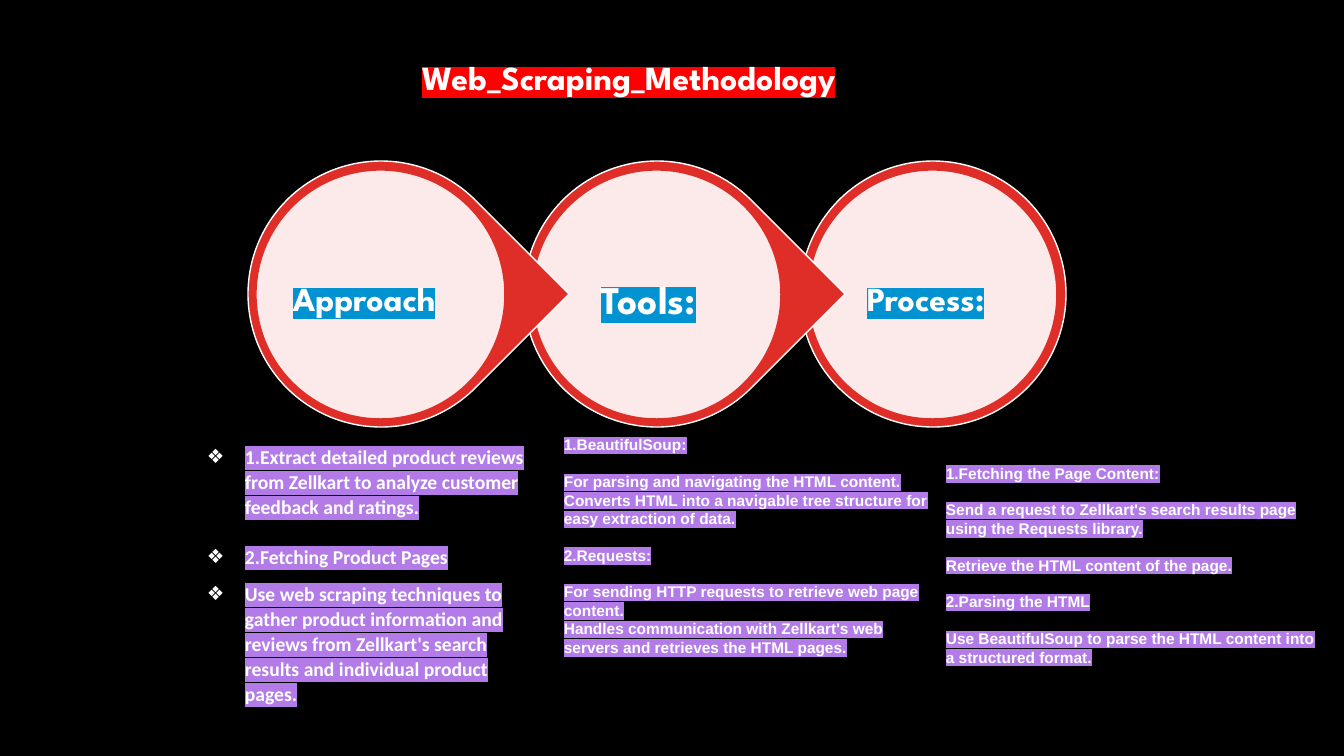
from lxml import etree
from pptx import Presentation
from pptx.dml.color import RGBColor
from pptx.enum.shapes import MSO_SHAPE
from pptx.enum.text import MSO_ANCHOR, MSO_AUTO_SIZE
from pptx.oxml.ns import qn
from pptx.util import Emu, Pt

ELLIPSE, TEARDROP = MSO_SHAPE.OVAL, MSO_SHAPE.TEAR
TOP, MIDDLE = MSO_ANCHOR.TOP, MSO_ANCHOR.MIDDLE
GROW = MSO_AUTO_SIZE.SHAPE_TO_FIT_TEXT
EMU_PER_PX = 914400 / 100.8

BLACK, WHITE, RED = "000000", "FFFFFF", "DF2E28"
TITLE_MARK, STEP_MARK, BODY_MARK = "FF0000", "0092D1", "B37BE8"
HEADING_FONT = "League Spartan"
RING_LEFT, RING_TOP, RING_SIZE, RING_PITCH = 248, 161, 266, 276
DISC_INSET, DISC_SIZE = 8, 249

STEPS = [
    ("Approach", 24, (283, 273, 210, 50)),
    ("Tools:", 28, (591, 270, 142, 57)),
    ("Process:", 24, (857, 273, 161, 50)),
]
APPROACH = [
    ("1.Extract detailed product reviews from Zellkart to analyze customer feedback and ratings.", 0, 0),
    ("2.Fetching Product Pages", 18, 8),
    ("Use web scraping techniques to gather product information and reviews from "
     "Zellkart's search results and individual product pages.", 0, 8),
]
TOOLS = [
    ("1.BeautifulSoup:", 0, 0),
    ("For parsing and navigating the HTML content.", 13, 0),
    ("Converts HTML into a navigable tree structure for easy extraction of data.", 0, 0),
    ("2.Requests:", 13, 0),
    ("For sending HTTP requests to retrieve web page content.", 13, 0),
    ("Handles communication with Zellkart's web servers and retrieves the HTML pages.", 0, 0),
]
PROCESS = [
    ("1.Fetching the Page Content:", 0, 0),
    ("Send a request to Zellkart's search results page using the Requests library.", 13, 0),
    ("Retrieve the HTML content of the page.", 13, 0),
    ("2.Parsing the HTML", 13, 0),
    ("Use BeautifulSoup to parse the HTML content into a structured format.", 13, 0),
]


def px(length):
    return Emu(round(length * EMU_PER_PX))


def color(hex_value):
    return RGBColor.from_string(hex_value)


def add_outlined(group, kind, left, top, size, fill, line):
    shape = group.shapes.add_shape(kind, px(left), px(top), px(size), px(size))
    shape.shadow.inherit = False
    shape.fill.solid()
    shape.fill.fore_color.rgb = color(fill)
    shape.line.color.rgb = color(line)
    shape.line.width = Pt(1)
    return shape


def add_step_ring(group, index, kind):
    left = RING_LEFT + index * RING_PITCH
    ring = add_outlined(group, kind, left, RING_TOP, RING_SIZE, RED, WHITE)
    if kind == TEARDROP:
        ring.rotation = 45
    disc = add_outlined(group, ELLIPSE, left + DISC_INSET, RING_TOP + 9, DISC_SIZE, WHITE, RED)
    tint = disc.fill._xPr.find(qn("a:solidFill"))[0]
    etree.SubElement(tint, qn("a:alpha"), val="90000")


def add_marked_run(para, text, font_name, size, mark):
    span = para.add_run()
    span.text = text
    span.font.size = Pt(size)
    span.font.bold = True
    span.font.name = font_name
    span.font.color.rgb = color(WHITE)
    highlight = etree.Element(qn("a:highlight"))
    etree.SubElement(highlight, qn("a:srgbClr"), val=mark)
    span.font._element.find(qn("a:solidFill")).addnext(highlight)


def add_bullet(para):
    properties = para._p.get_or_add_pPr()
    properties.set("marL", str(px(38)))
    properties.set("indent", str(-px(38)))
    etree.SubElement(properties, qn("a:buFont"), typeface="Arial")
    etree.SubElement(properties, qn("a:buChar"), char="❖")


def add_text(page, place, paragraphs, font_name, size, mark, anchor=TOP, bulleted=False):
    box = page.shapes.add_textbox(*map(px, place))
    frame = box.text_frame
    frame.word_wrap = True
    frame.auto_size = GROW
    frame.vertical_anchor = anchor
    for index, (text, before, after) in enumerate(paragraphs):
        para = frame.add_paragraph() if index else frame.paragraphs[0]
        if bulleted:
            add_bullet(para)
            para.line_spacing = 1.07
        if before:
            para.space_before = Pt(before)
        if after:
            para.space_after = Pt(after)
        add_marked_run(para, text, font_name, size, mark)


def add_heading(page, place, text, size, mark):
    add_text(page, place, [(text, 0, 0)], HEADING_FONT, size, mark)


def main():
    deck = Presentation()
    deck.slide_width, deck.slide_height = px(1344), px(756)
    page = deck.slides.add_slide(deck.slide_layouts[6])
    page.background.fill.solid()
    page.background.fill.fore_color.rgb = color(BLACK)

    rings = page.shapes.add_group_shape()
    for index, kind in ((2, ELLIPSE), (1, TEARDROP), (0, TEARDROP)):
        add_step_ring(rings, index, kind)
    for text, size, place in STEPS:
        add_heading(page, place, text, size, STEP_MARK)

    add_text(page, (197, 438, 352, 274), APPROACH, "Calibri", 14, BODY_MARK, bulleted=True)
    add_text(page, (554, 428, 387, 236), TOOLS, "Arial", 11, BODY_MARK, MIDDLE)
    add_text(page, (936, 457, 398, 216), PROCESS, "Arial", 11, BODY_MARK, MIDDLE)
    add_heading(page, (412, 52, 753, 50), "Web_Scraping_Methodology", 24, TITLE_MARK)
    deck.save("out.pptx")


if __name__ == "__main__":
    main()
